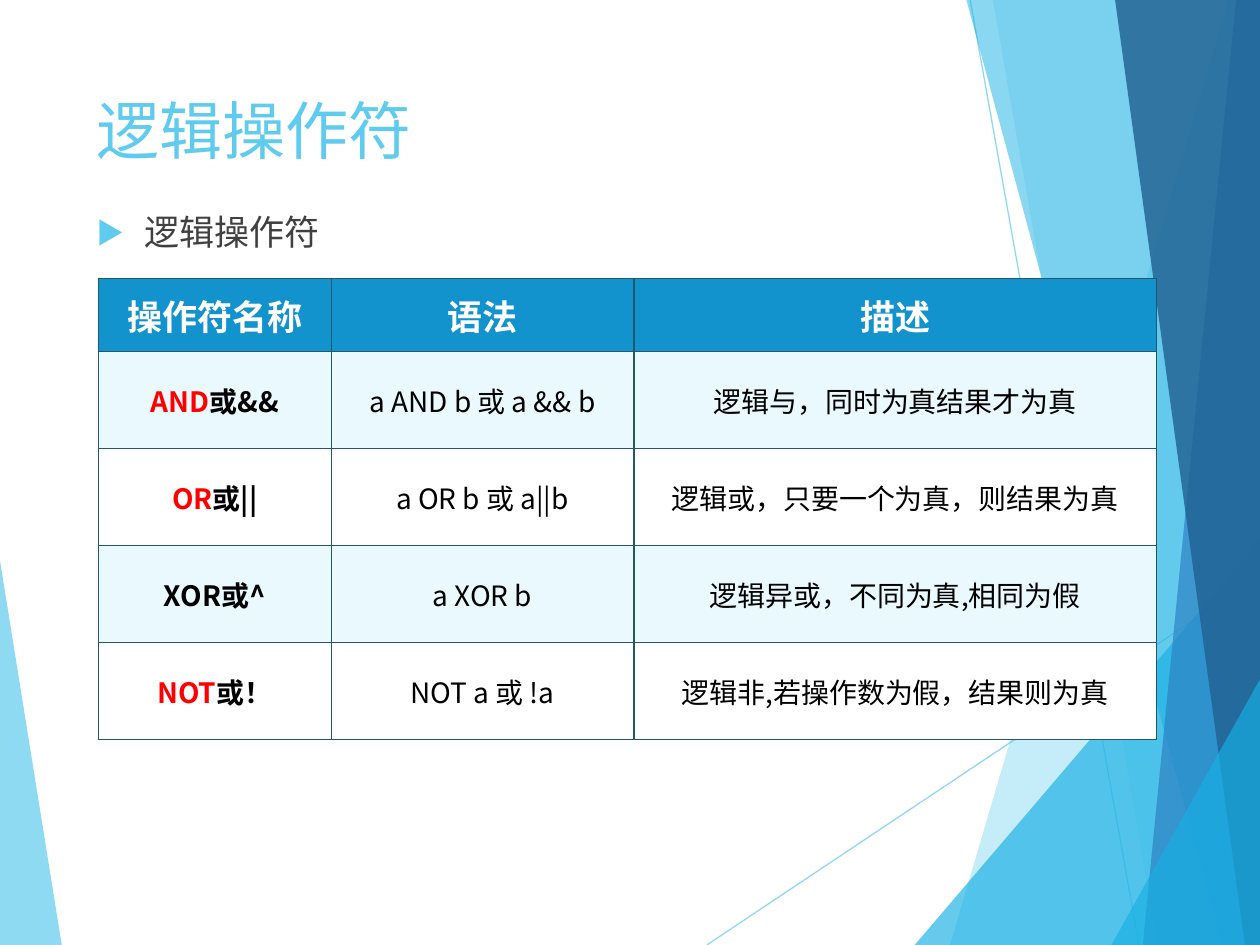
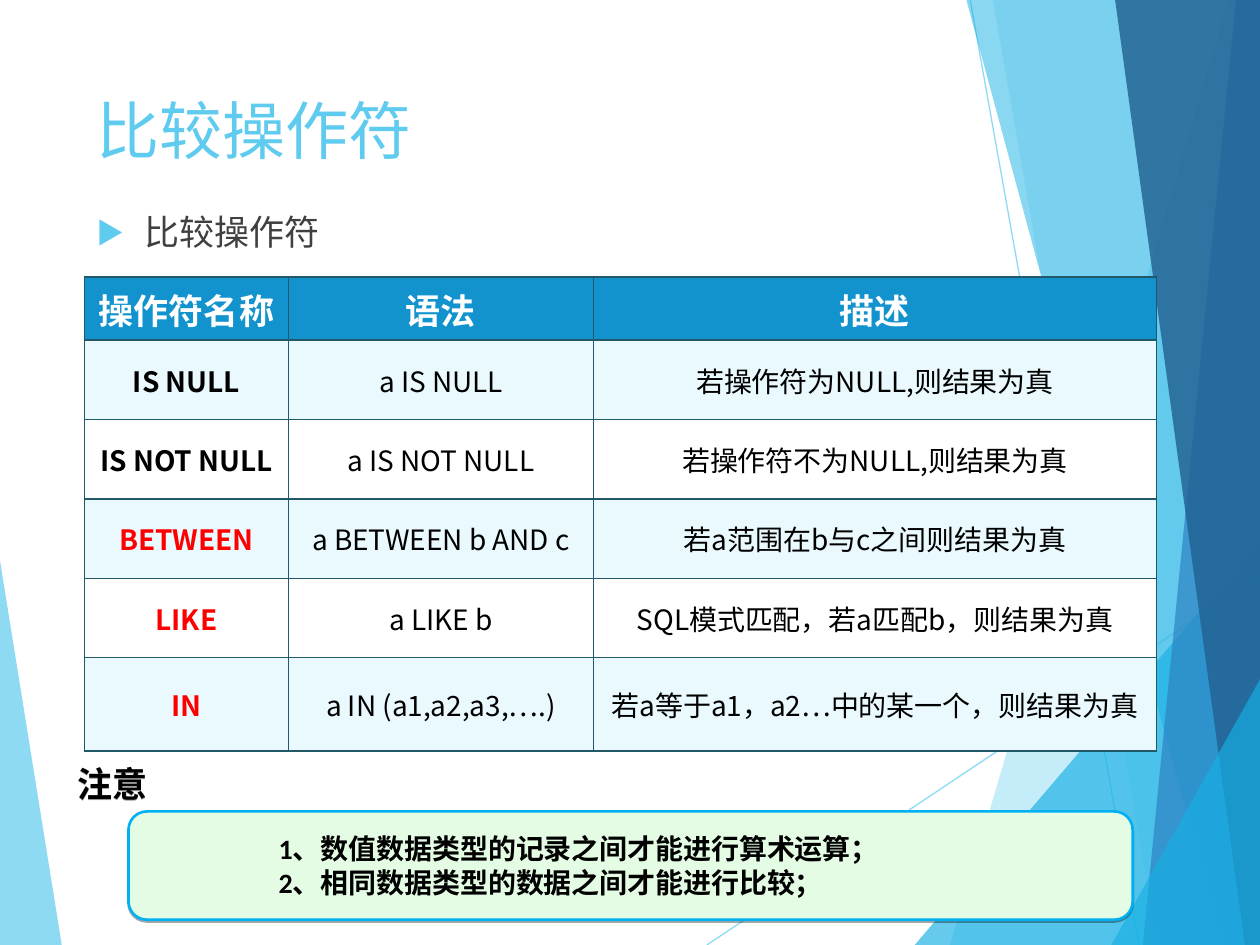
from lxml import etree
from pptx import Presentation
from pptx import util as u
from pptx.dml.color import RGBColor
from pptx.enum import shapes, text
from pptx.oxml import ns

SKY = RGBColor(0x5F, 0xCB, 0xEF)
AZURE = RGBColor(0x17, 0xB0, 0xE4)
BLUE = RGBColor(0x2E, 0x83, 0xC3)
NAVY = RGBColor(0x22, 0x62, 0x92)
HEADER = RGBColor(0x12, 0x93, 0xCD)
BAND = RGBColor(0xE9, 0xF9, 0xFD)
BORDER = RGBColor(0x21, 0x59, 0x68)
MINT = RGBColor(0xE4, 0xFC, 0xE4)
BRIGHT = RGBColor(0x00, 0xB0, 0xF0)
GREY = RGBColor(0x40, 0x40, 0x40)
RED = RGBColor(0xFF, 0, 0)
BLACK = RGBColor(0, 0, 0)
WHITE = RGBColor(0xFF, 0xFF, 0xFF)
FONT = "Noto Sans CJK SC"

WIDTH, HEIGHT = 10, 7.5
LEFT_WEDGE = [(0, 4.45), (0.49, HEIGHT), (0, HEIGHT)]
RAYS = [((5.61, HEIGHT), (WIDTH, 4.57)), ((7.7, 0), (9.04, HEIGHT))]
RIGHT_FACETS = [
    ([(9.75, 0), (7.54, HEIGHT), (WIDTH, HEIGHT), (WIDTH, 0)], SKY, 36),
    ([(7.88, 0), (9.19, HEIGHT), (WIDTH, HEIGHT), (WIDTH, 0)], SKY, 20),
    ([(7.26, HEIGHT), (WIDTH, 4.29), (WIDTH, HEIGHT)], AZURE, 66),
    ([(7.67, 0), (9.7, HEIGHT), (WIDTH, HEIGHT), (WIDTH, 0)], AZURE, 50),
    ([(9.81, 0), (9.07, HEIGHT), (WIDTH, HEIGHT), (WIDTH, 0)], BLUE, 70),
    ([(8.85, 0), (9.88, HEIGHT), (WIDTH, HEIGHT), (WIDTH, 0)], NAVY, 82),
    ([(8.82, HEIGHT), (WIDTH, 5.39), (WIDTH, HEIGHT)], AZURE, 66),
]

COLUMNS = ("操作符名称", "语法", "描述")
LOGIC_ROWS = [
    ("AND", "或&&", "a AND b 或 a && b", "逻辑与，同时为真结果才为真"),
    ("OR", "或||", "a OR b 或 a||b", "逻辑或，只要一个为真，则结果为真"),
    ("", "XOR或^", "a XOR b", "逻辑异或，不同为真,相同为假"),
    ("NOT", "或！", "NOT a 或 !a", "逻辑非,若操作数为假，结果则为真"),
]
COMPARISON_ROWS = [
    ("", "IS NULL", "a IS NULL", "若操作符为NULL,则结果为真"),
    ("", "IS NOT NULL", "a IS NOT NULL", "若操作符不为NULL,则结果为真"),
    ("BETWEEN", "", "a BETWEEN b AND c", "若a范围在b与c之间则结果为真"),
    ("LIKE", "", "a LIKE b", "SQL模式匹配，若a匹配b，则结果为真"),
    ("IN", "", "a IN (a1,a2,a3,….)", "若a等于a1，a2…中的某一个，则结果为真"),
]


def add_xml(parent, tag, **attributes):
    return etree.SubElement(parent, ns.qn(tag), attributes)


def add_shadow(shape):
    shape.shadow.inherit = False
    effects = shape.element.spPr.find(ns.qn("a:effectLst"))
    shadow = add_xml(effects, "a:outerShdw", dist=str(u.Pt(1)), dir="5400000")
    color = add_xml(shadow, "a:srgbClr", val=str(BLACK))
    add_xml(color, "a:alpha", val="34000")


def set_alpha(shape, percent):
    for color in shape.element.spPr.iter(ns.qn("a:srgbClr")):
        add_xml(color, "a:alpha", val=str(percent * 1000))


def write(paragraph, content, size=16, color=BLACK, bold=False, font=FONT):
    run = paragraph.add_run()
    run.text = content
    run.font.size = u.Pt(size)
    run.font.bold = bold
    run.font.color.rgb = color
    run.font.name = font
    add_xml(run._r.get_or_add_rPr(), "a:ea", typeface=font)


class Deck:
    def __init__(self):
        self.presentation = Presentation()
        self.presentation.slide_width = u.Inches(WIDTH)
        self.presentation.slide_height = u.Inches(HEIGHT)
        self.slide = None

    def new_slide(self, title):
        self.slide = self.presentation.slides.add_slide(self.presentation.slide_layouts[6])
        self.facet(LEFT_WEDGE, SKY, 70)
        for start, end in RAYS:
            self.ray(start, end)
        for points, color, alpha in RIGHT_FACETS:
            self.facet(points, color, alpha)
        heading = self.text_box(0.67, 0.67, 8.43, 0.71).text_frame
        heading.vertical_anchor = text.MSO_ANCHOR.MIDDLE
        write(heading.paragraphs[0], title, size=36, color=SKY)
        self.bullet(title)

    def facet(self, points, color, alpha):
        corners = [(u.Inches(x), u.Inches(y)) for x, y in points]
        builder = self.slide.shapes.build_freeform(*corners[0])
        builder.add_line_segments(corners[1:])
        shape = builder.convert_to_shape()
        shape.shadow.inherit = False
        shape.fill.solid()
        shape.fill.fore_color.rgb = color
        shape.line.fill.background()
        set_alpha(shape, alpha)

    def ray(self, start, end):
        ends = [u.Inches(value) for value in start + end]
        line = self.slide.shapes.add_connector(shapes.MSO_CONNECTOR.STRAIGHT, *ends)
        line.line.color.rgb = SKY
        line.line.width = u.Pt(0.75)
        set_alpha(line, 70)
        add_xml(line.element.spPr, "a:effectLst")

    def text_box(self, left, top, width, height, wrap=True):
        box = self.slide.shapes.add_textbox(*map(u.Inches, (left, top, width, height)))
        box.text_frame.word_wrap = wrap
        return box

    def bullet(self, content):
        paragraph = self.text_box(0.67, 1.62, 8.43, 4.82).text_frame.paragraphs[0]
        paragraph.space_before = u.Pt(10)
        properties = paragraph._p.get_or_add_pPr()
        properties.set("marL", str(u.Inches(0.38)))
        properties.set("indent", str(u.Inches(-0.38)))
        add_xml(add_xml(properties, "a:buClr"), "a:srgbClr", val=str(SKY))
        add_xml(properties, "a:buSzPct", val="80000")
        add_xml(properties, "a:buFont", typeface=FONT)
        add_xml(properties, "a:buChar", char="▶")
        write(paragraph, content, size=20, color=GREY)

    def table(self, left, top, widths, heights, rows):
        frame = self.slide.shapes.add_table(
            len(heights), len(widths), u.Inches(left), u.Inches(top),
            u.Inches(sum(widths)), u.Inches(sum(heights)))
        table = frame.table
        for column, width in zip(table.columns, widths):
            column.width = u.Inches(width)
        for row, height in zip(table.rows, heights):
            row.height = u.Inches(height)
        for index, label in enumerate(COLUMNS):
            paragraph = self.cell(table.cell(0, index), HEADER)
            write(paragraph, label, size=20, color=WHITE, bold=True)
        for number, (keyword, symbol, syntax, meaning) in enumerate(rows, 1):
            fill = BAND if number % 2 else WHITE
            name, *others = [self.cell(table.cell(number, index), fill) for index in range(3)]
            for content, color in ((keyword, RED), (symbol, BLACK)):
                if content:
                    write(name, content, color=color, bold=True)
            for paragraph, content in zip(others, (syntax, meaning)):
                write(paragraph, content)

    def cell(self, cell, fill):
        properties = cell._tc.get_or_add_tcPr()
        for side in ("a:lnL", "a:lnR", "a:lnT", "a:lnB"):
            line = add_xml(properties, side, w=str(u.Pt(1)))
            add_xml(add_xml(line, "a:solidFill"), "a:srgbClr", val=str(BORDER))
        cell.fill.solid()
        cell.fill.fore_color.rgb = fill
        cell.vertical_anchor = text.MSO_ANCHOR.MIDDLE
        paragraph = cell.text_frame.paragraphs[0]
        paragraph.alignment = text.PP_ALIGN.CENTER
        return paragraph

    def callout(self, left, top, width, height, lines):
        shape = self.slide.shapes.add_shape(
            shapes.MSO_SHAPE.ROUNDED_RECTANGULAR_CALLOUT,
            *map(u.Inches, (left, top, width, height)))
        for index, value in enumerate((-0.5, 0, 0.17)):
            shape.adjustments[index] = value
        shape.fill.solid()
        shape.fill.fore_color.rgb = MINT
        shape.line.color.rgb = BRIGHT
        shape.line.width = u.Pt(1.5)
        add_shadow(shape)
        frame = shape.text_frame
        frame.word_wrap = True
        frame.vertical_anchor = text.MSO_ANCHOR.MIDDLE
        frame.margin_left = u.Inches(1.15)
        for index, content in enumerate(lines):
            paragraph = frame.add_paragraph() if index else frame.paragraphs[0]
            paragraph.alignment = text.PP_ALIGN.LEFT
            write(paragraph, content, bold=True, font="Calibri")

    def note_label(self, left, top, width, height, content):
        box = self.text_box(left, top, width, height, wrap=False)
        add_shadow(box)
        write(box.text_frame.paragraphs[0], content, size=20, bold=True)


deck = Deck()

deck.new_slide("逻辑操作符")
deck.table(0.78, 2.21, (1.85, 2.4, 4.15), [0.58] + [0.77] * 4, LOGIC_ROWS)

deck.new_slide("比较操作符")
deck.table(0.67, 2.2, (1.62, 2.42, 4.47), [0.5] + [0.63] * 4 + [0.74], COMPARISON_ROWS)
deck.callout(1.02, 6.44, 7.97, 0.86, [
    "1、数值数据类型的记录之间才能进行算术运算；",
    "2、相同数据类型的数据之间才能进行比较；",
])
deck.note_label(0.52, 6, 0.77, 0.44, "注意")

deck.presentation.save("out.pptx")
